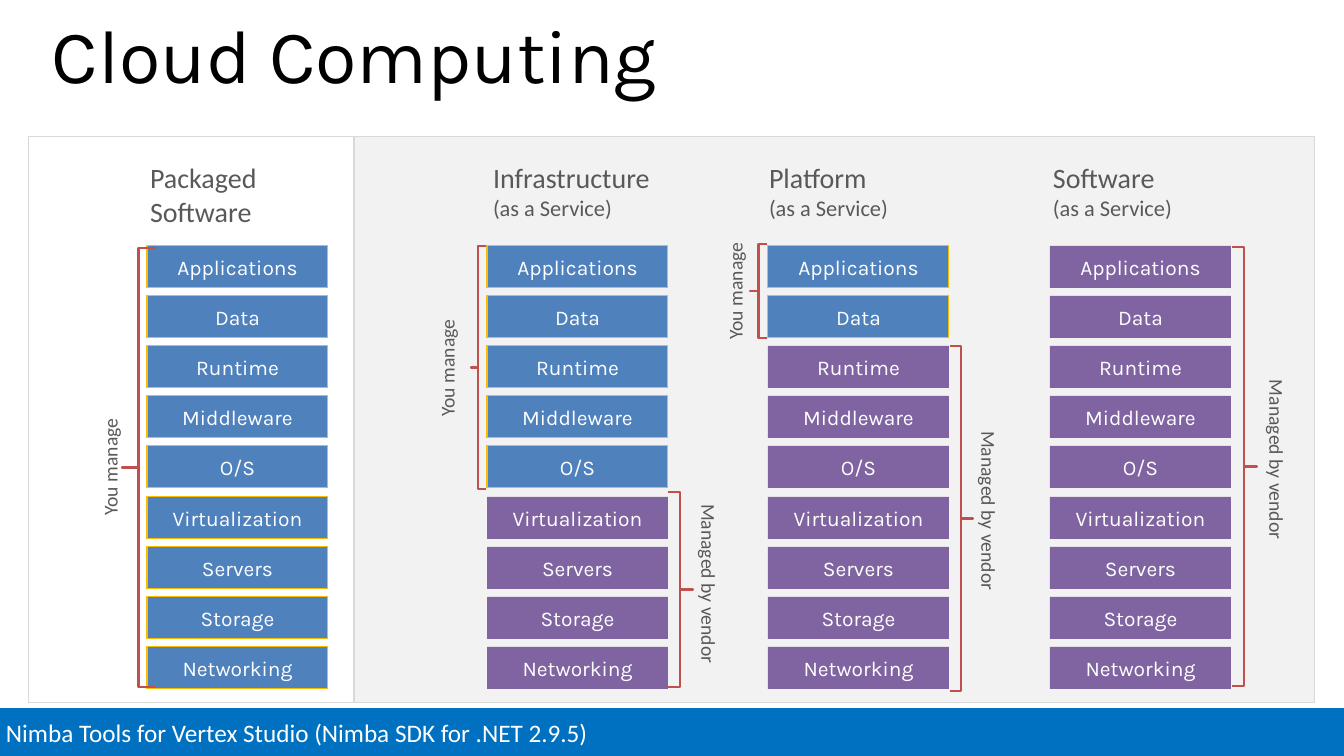
from dataclasses import dataclass

from pptx import Presentation
from pptx.dml.color import RGBColor
from pptx.enum.shapes import MSO_SHAPE
from pptx.enum.text import MSO_ANCHOR, PP_ALIGN
from pptx.shapes.autoshape import Shape
from pptx.slide import Slide
from pptx.util import Emu, Pt

RECTANGLE = MSO_SHAPE.RECTANGLE
BRACE = MSO_SHAPE.LEFT_BRACE
TOP, MIDDLE = MSO_ANCHOR.TOP, MSO_ANCHOR.MIDDLE
LEFT, CENTER = PP_ALIGN.LEFT, PP_ALIGN.CENTER

EMU_PER_PX = 914400 / 100.8
COLORS = {
    "white": "FFFFFF", "black": "000000", "footer": "0070C0", "panel": "F2F2F2",
    "panel_edge": "D9D9D9", "grey_text": "595959", "brace": "C0504D",
    "own": "4F81BD", "own_edge": "F9BC00", "vendor": "8064A2",
}
BODY_FONT, DISPLAY_FONT = "Calibri", "Karla"
LAYERS = ["Applications", "Data", "Runtime", "Middleware", "O/S",
          "Virtualization", "Servers", "Storage", "Networking"]
STACK_TOP, STACK_TRAVEL = 246, 401
LAYER_WIDTH, LAYER_HEIGHT = 181, 42


@dataclass(frozen=True)
class Box:
    left: int
    top: int
    width: int
    height: int


@dataclass(frozen=True)
class TextLine:
    text: str
    size: int
    font: str = BODY_FONT
    color: str = "grey_text"


@dataclass(frozen=True)
class Span:
    by_vendor: bool
    brace: Box
    label_left: int
    label_top: int


@dataclass(frozen=True)
class Model:
    heading: list[TextLine]
    heading_left: int
    stack_left: int
    own_layers: int
    spans: list[Span]


def service(name: str) -> list[TextLine]:
    return [TextLine(name, 20), TextLine("(as a Service)", 16)]


MODELS = [
    Model([TextLine("Packaged Software", 20)], 150, 147, 9,
          [Span(False, Box(122, 248, 33, 439), 88, 408)]),
    Model(service("Infrastructure"), 493, 487, 5,
          [Span(False, Box(471, 246, 15, 243), 425, 309),
           Span(True, Box(668, 492, 25, 195), 687, 499)]),
    Model(service("Platform"), 769, 768, 2,
          [Span(False, Box(750, 244, 17, 94), 713, 232),
           Span(True, Box(950, 346, 23, 345), 967, 426)]),
    Model(service("Software"), 1053, 1050, 0,
          [Span(True, Box(1232, 247, 25, 439), 1255, 375)]),
]


def emu(px: int) -> Emu:
    return Emu(round(px * EMU_PER_PX))


def rgb(name: str) -> RGBColor:
    return RGBColor.from_string(COLORS[name])


def frame(box: Box) -> tuple[Emu, Emu, Emu, Emu]:
    return emu(box.left), emu(box.top), emu(box.width), emu(box.height)


def add_preset(slide: Slide, preset: MSO_SHAPE, box: Box, fill: str = "",
               edge: str = "", edge_width: float = 0.75) -> Shape:
    shape = slide.shapes.add_shape(preset, *frame(box))
    shape.shadow.inherit = False
    if fill:
        shape.fill.solid()
        shape.fill.fore_color.rgb = rgb(fill)
    else:
        shape.fill.background()
    if edge:
        shape.line.color.rgb = rgb(edge)
        shape.line.width = Pt(edge_width)
    else:
        shape.line.fill.background()
    return shape


def write(shape: Shape, lines: list[TextLine], align: PP_ALIGN = LEFT,
          anchor: MSO_ANCHOR = TOP, inset_x: int = 10, inset_y: int = 5,
          wrap: bool = True, spacing: float = 1.0) -> None:
    text = shape.text_frame
    text.word_wrap = wrap
    text.vertical_anchor = anchor
    text.margin_left = text.margin_right = emu(inset_x)
    text.margin_top = text.margin_bottom = emu(inset_y)
    for index, line in enumerate(lines):
        paragraph = text.add_paragraph() if index else text.paragraphs[0]
        paragraph.text = line.text
        paragraph.alignment = align
        paragraph.line_spacing = spacing
        paragraph.font.size = Pt(line.size)
        paragraph.font.name = line.font
        paragraph.font.color.rgb = rgb(line.color)


def add_layer(slide: Slide, model: Model, index: int) -> None:
    top = STACK_TOP + round(index * STACK_TRAVEL / (len(LAYERS) - 1))
    box = Box(model.stack_left, top, LAYER_WIDTH, LAYER_HEIGHT)
    owned = index < model.own_layers
    layer = add_preset(slide, RECTANGLE, box, "own" if owned else "vendor",
                       "own_edge" if owned else "")
    write(layer, [TextLine(LAYERS[index], 15, DISPLAY_FONT, "white")], CENTER,
          MIDDLE, inset_x=0)


def add_span(slide: Slide, span: Span) -> None:
    brace = add_preset(slide, BRACE, span.brace, edge="brace", edge_width=1.5)
    brace.adjustments[0] = 0
    if span.by_vendor:
        brace.element.spPr.xfrm.set("flipH", "1")
        wording, direction, height = "Managed by vendor", "eaVert", 186
    else:
        wording, direction, height = "You manage", "vert270", 118
    box = Box(span.label_left, span.label_top, 44, height)
    label = slide.shapes.add_textbox(*frame(box))
    write(label, [TextLine(wording, 14)], CENTER, wrap=False)
    label.text_frame._txBody.bodyPr.set("vert", direction)


def add_model(slide: Slide, model: Model) -> None:
    heading = slide.shapes.add_textbox(*frame(Box(model.heading_left, 161, 206, 70)))
    write(heading, model.heading, inset_x=0, inset_y=0)
    for index in range(len(LAYERS)):
        add_layer(slide, model, index)
    for span in model.spans:
        add_span(slide, span)


def main() -> None:
    deck = Presentation()
    deck.slide_width, deck.slide_height = emu(1344), emu(756)
    slide = deck.slides.add_slide(deck.slide_layouts[6])

    footer = add_preset(slide, RECTANGLE, Box(-4, 707, 1351, 51), "footer", "white", 2)
    write(footer, [TextLine("Nimba Tools for Vertex Studio (Nimba SDK for .NET 2.9.5)",
                            18, color="white")], anchor=MIDDLE)
    add_preset(slide, RECTANGLE, Box(354, 137, 961, 566), "panel", "panel_edge")
    add_preset(slide, RECTANGLE, Box(28, 137, 326, 566), edge="panel_edge")

    title = slide.shapes.add_textbox(*frame(Box(42, 20, 1270, 117)))
    write(title, [TextLine("Cloud Computing", 54, DISPLAY_FONT, "black")], spacing=0.8)

    for model in MODELS:
        add_model(slide, model)
    deck.save("out.pptx")


if __name__ == "__main__":
    main()
